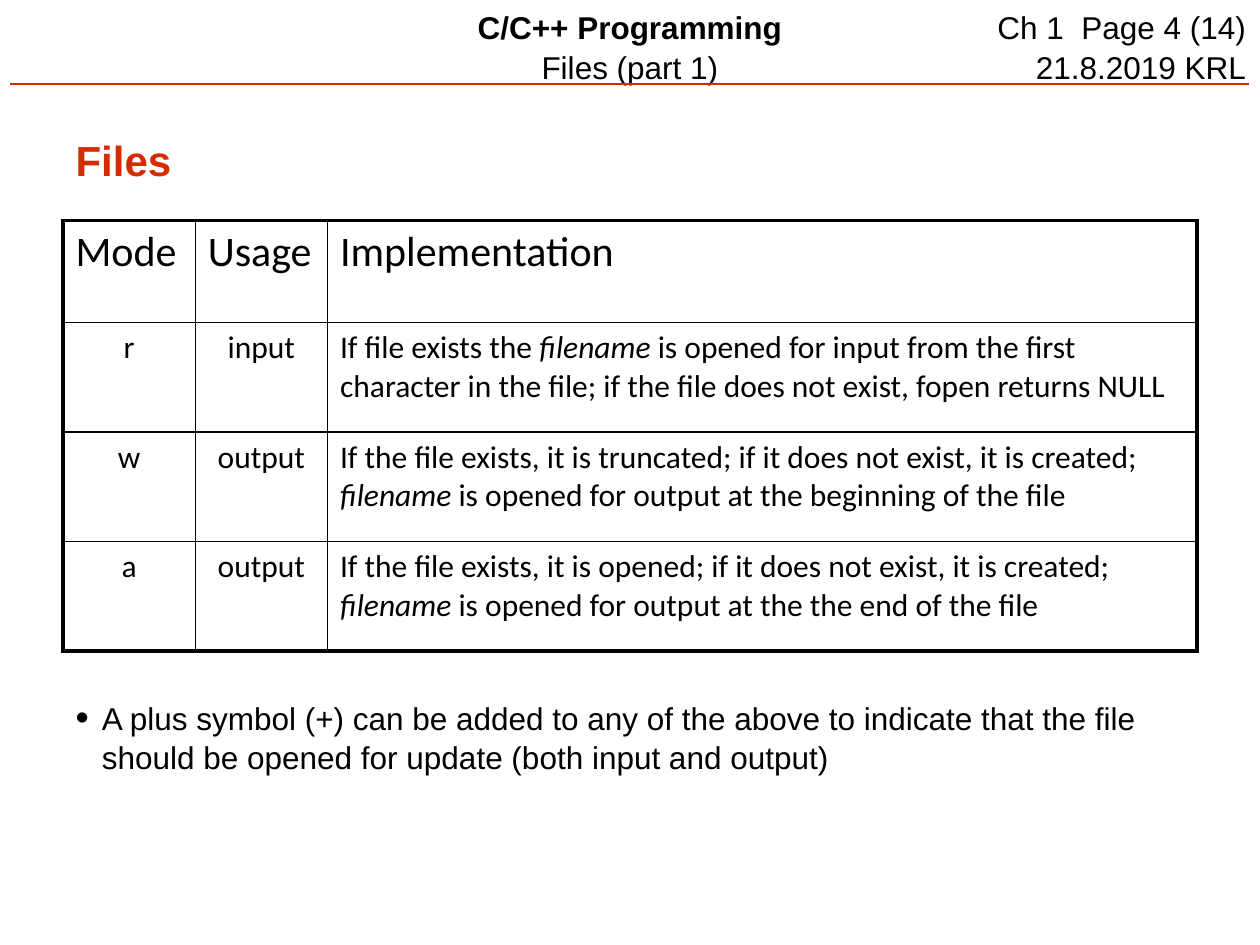
"""Build the slide on file opening modes."""
from dataclasses import dataclass

from lxml import etree
from pptx import Presentation
from pptx.dml.color import RGBColor
from pptx.enum.shapes import MSO_CONNECTOR
from pptx.enum.text import MSO_ANCHOR, MSO_AUTO_SIZE, PP_ALIGN
from pptx.oxml.ns import qn
from pptx.util import Pt

STRAIGHT = MSO_CONNECTOR.STRAIGHT
TOP, MIDDLE = MSO_ANCHOR.TOP, MSO_ANCHOR.MIDDLE
LEFT, CENTER = PP_ALIGN.LEFT, PP_ALIGN.CENTER
NO_FIT = MSO_AUTO_SIZE.NONE
COLORS = {"text": "000000", "accent": "D52B00"}
MARGIN, CONTENT_WIDTH = 36, 648
THIN, THICK = 1, 2.25
COLUMN_WIDTHS = (75.6, 75.6, 496.8)
ROW_HEIGHTS = (58.2, 62.6, 62.6, 62.6)
HEADINGS = ("Mode", "Usage", "Implementation")
EMPHASIZED = "filename"


@dataclass(frozen=True)
class FileMode:
    mode: str
    usage: str
    implementation: str


FILE_MODES = (
    FileMode("r", "input",
             "If file exists the filename is opened for input from the first character "
             "in the file; if the file does not exist, fopen returns NULL"),
    FileMode("w", "output",
             "If the file exists, it is truncated; if it does not exist, it is created; "
             "filename is opened for output at the beginning of the file"),
    FileMode("a", "output",
             "If the file exists, it is opened; if it does not exist, it is created; "
             "filename is opened for output at the the end of the file"),
)


def style(paragraph, size: float, font: str = "Arial", color: str = "text",
          bold: bool = False) -> None:
    paragraph.font.size = Pt(size)
    paragraph.font.name = font
    paragraph.font.bold = bold
    paragraph.font.color.rgb = RGBColor.from_string(COLORS[color])


def place(shape, top: float, height: float, anchor) -> None:
    shape.left, shape.top = Pt(MARGIN), Pt(top)
    shape.width, shape.height = Pt(CONTENT_WIDTH), Pt(height)
    shape.text_frame.auto_size = NO_FIT
    shape.text_frame.vertical_anchor = anchor


def add_header(slide) -> None:
    header = slide.shapes.add_textbox(0, 0, Pt(720), Pt(49)).text_frame
    header.word_wrap = True
    header.margin_left = header.margin_right = 0
    header.margin_top = Pt(3.6)
    lines = (("C/C++ Programming", "Ch 1  Page 4 (14)", True),
             ("Files (part 1)", "21.8.2019 KRL", False))
    for index, (subject, detail, bold) in enumerate(lines):
        line = header.add_paragraph() if index else header.paragraphs[0]
        line.add_run().text = f"\t{subject}"
        line.runs[0].font.bold = bold
        line.add_run().text = f"\t{detail}"
        style(line, 18)
        line.line_spacing = 1.05
        properties = line._p.get_or_add_pPr()
        stops = etree.Element(qn("a:tabLst"))
        for position, alignment in ((360, "ctr"), (712, "r")):
            etree.SubElement(stops, qn("a:tab"), pos=str(Pt(position)), algn=alignment)
        properties.find(qn("a:defRPr")).addprevious(stops)
    rule = slide.shapes.add_connector(STRAIGHT, Pt(6), Pt(48), Pt(714), Pt(48))
    rule.line.width = Pt(1.5)
    rule.line.color.rgb = RGBColor.from_string(COLORS["accent"])
    etree.SubElement(rule._element.spPr, qn("a:effectLst"))


def set_borders(cell, widths: dict[str, float]) -> None:
    properties = cell._tc.get_or_add_tcPr()
    for index, (side, width) in enumerate(widths.items()):
        border = etree.Element(qn(f"a:{side}"), w=str(Pt(width)))
        fill = etree.SubElement(border, qn("a:solidFill"))
        etree.SubElement(fill, qn("a:srgbClr"), val=COLORS["text"])
        properties.insert(index, border)


def fill_cell(cell, text: str, size: float, alignment) -> None:
    paragraph = cell.text_frame.paragraphs[0]
    before, emphasized, after = text.partition(EMPHASIZED)
    for part in filter(None, (before, emphasized, after)):
        run = paragraph.add_run()
        run.text = part
        if part == EMPHASIZED:
            run.font.italic = True
    paragraph.alignment = alignment
    style(paragraph, size, "Calibri")
    for run in paragraph.runs:
        run.font.size = Pt(size)
    cell.fill.background()


def add_modes_table(slide) -> None:
    rows = [HEADINGS] + [(m.mode, m.usage, m.implementation) for m in FILE_MODES]
    last_row, last_column = len(rows) - 1, len(HEADINGS) - 1
    modes = slide.shapes.add_table(len(rows), len(HEADINGS), Pt(MARGIN), Pt(126),
                                   Pt(CONTENT_WIDTH), Pt(sum(ROW_HEIGHTS))).table
    modes.first_row = modes.horz_banding = False
    for column, width in zip(modes.columns, COLUMN_WIDTHS):
        column.width = Pt(width)
    for r, (values, height) in enumerate(zip(rows, ROW_HEIGHTS)):
        modes.rows[r].height = Pt(height)
        for c, value in enumerate(values):
            cell = modes.cell(r, c)
            centered = r > 0 and c < last_column
            fill_cell(cell, value, 18 if r else 24, CENTER if centered else LEFT)
            set_borders(cell, {
                "lnL": THIN if c else THICK,
                "lnR": THICK if c == last_column else THIN,
                "lnT": THIN if r else THICK,
                "lnB": THICK if r == last_row else THIN,
            })


def add_note(note) -> None:
    place(note, 394.5, 88, TOP)
    note.text_frame.text = ("A plus symbol (+) can be added to any of the above to indicate "
                            "that the file should be opened for update (both input and output)")
    paragraph = note.text_frame.paragraphs[0]
    style(paragraph, 18)
    paragraph.line_spacing = 1.05
    properties = paragraph._p.get_or_add_pPr()
    properties.set("marL", str(Pt(15)))
    properties.set("indent", str(Pt(-15)))
    defaults = properties.find(qn("a:defRPr"))
    defaults.addprevious(etree.Element(qn("a:buSzPct"), val="120000"))
    defaults.addprevious(etree.Element(qn("a:buChar"), char="•"))


def build() -> None:
    deck = Presentation()
    deck.slide_width, deck.slide_height = Pt(720), Pt(540)
    slide = deck.slides.add_slide(deck.slide_layouts[1])
    add_header(slide)
    title = slide.shapes.title
    place(title, 71.3, 40, MIDDLE)
    title.text_frame.text = "Files"
    heading = title.text_frame.paragraphs[0]
    heading.alignment = LEFT
    style(heading, 24, color="accent", bold=True)
    add_modes_table(slide)
    add_note(slide.placeholders[1])
    deck.save("out.pptx")


build()
